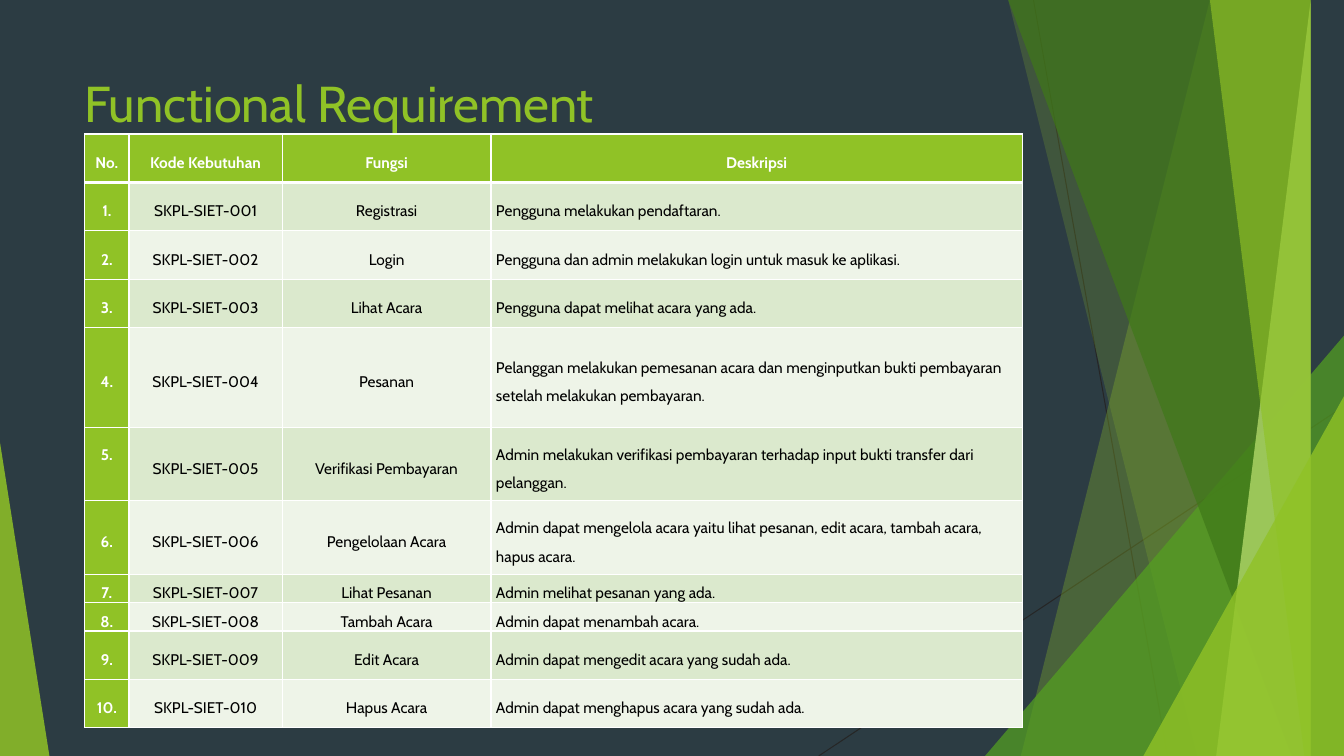
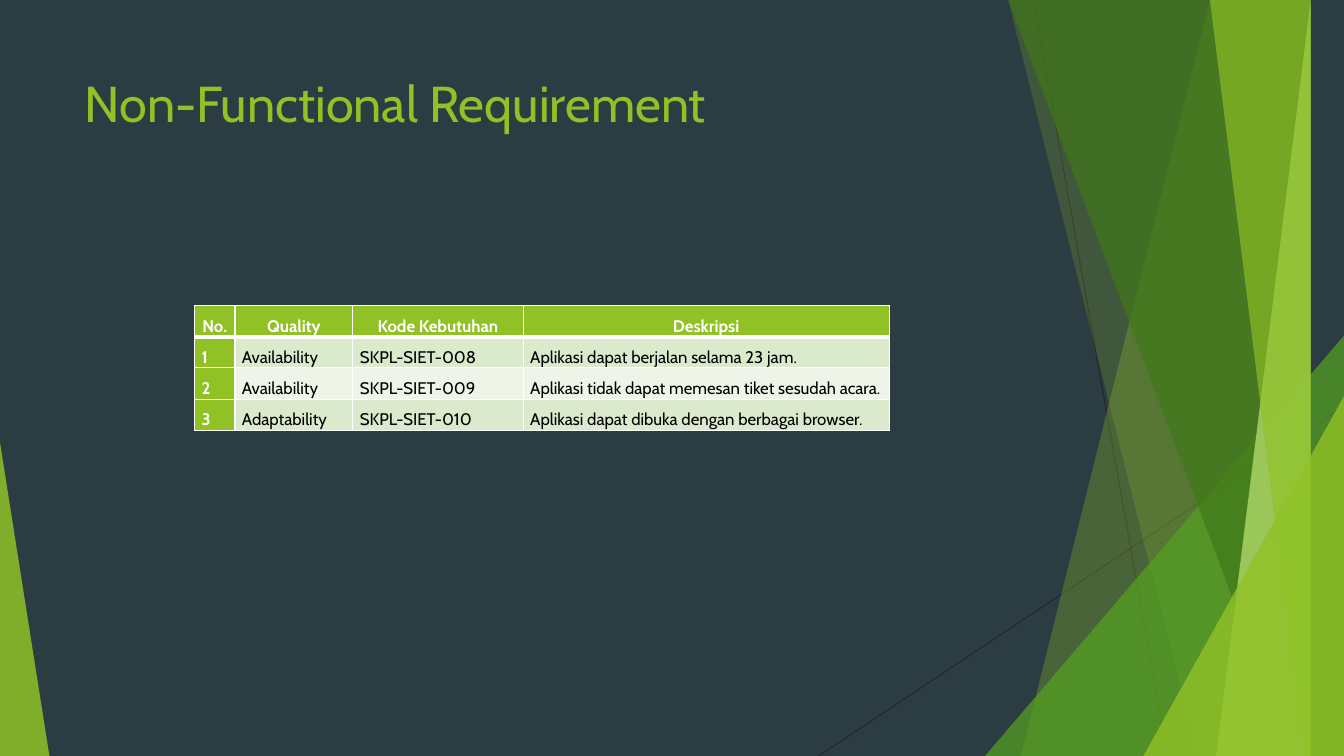
from dataclasses import dataclass

from lxml.etree import SubElement
from pptx import Presentation
from pptx.dml.color import RGBColor
from pptx.enum.shapes import MSO_CONNECTOR as Connector, MSO_SHAPE as Shape
from pptx.enum.text import MSO_ANCHOR as Anchor, PP_ALIGN as Align
from pptx.oxml import parse_xml
from pptx.oxml.ns import nsdecls, qn
from pptx.util import Inches, Pt


@dataclass(frozen=True)
class Theme:
    font: str = "Cabin"
    title_size: int = 36
    background: str = "2C3C43"
    lime: str = "90C226"
    green: str = "54A021"
    forest: str = "3F7819"
    pale: str = "C0E474"
    hairline: str = "262626"
    white: str = "FFFFFF"
    black: str = "000000"
    bands: tuple = ("DBE9CD", "EEF4E8")


THEME = Theme()
WIDTH, HEIGHT = 13.33, 7.5
PAGE = (0, 0, WIDTH, HEIGHT)
TITLE_BOX = (0.74, 0.67, 9.4, 1.44)
C, L = Align.CENTER, Align.LEFT

# Hairlines: start and end points
HAIRLINES = [((10.25, 0), (11.58, 7.5)), ((13.33, 4.03), (8.12, 7.5))]

# Facets, back to front. Blade: top and bottom x of its left edge.
# Triangle: left, top, width, and apex side (0 left, 1 right).
FACETS = [
    ("blade", (12.28, 10.04), THEME.lime, 30),
    ("blade", (10.5, 11.83), THEME.lime, 20),
    ("triangle", (9.77, 3.33, 3.56, 1), THEME.green, 72),
    ("blade", (10.21, 12.91), THEME.forest, 70),
    ("blade", (13.03, 11.92), THEME.pale, 70),
    ("blade", (11.96, 13.18), THEME.lime, 65),
    ("triangle", (11.34, 3.93, 1.99, 1), THEME.lime, 80),
    ("triangle", (0, 4.39, 0.49, 0), THEME.lime, 85),
]

FUNCTIONAL = [
    ("Registrasi", "Pengguna melakukan pendaftaran."),
    ("Login", "Pengguna dan admin melakukan login untuk masuk ke aplikasi."),
    ("Lihat Acara", "Pengguna dapat melihat acara yang ada."),
    ("Pesanan", "Pelanggan melakukan pemesanan acara dan menginputkan bukti "
                "pembayaran setelah melakukan pembayaran."),
    ("Verifikasi Pembayaran", "Admin melakukan verifikasi pembayaran terhadap "
                              "input bukti transfer dari pelanggan."),
    ("Pengelolaan Acara", "Admin dapat mengelola acara yaitu lihat pesanan, "
                          "edit acara, tambah acara, hapus acara."),
    ("Lihat Pesanan", "Admin melihat pesanan yang ada."),
    ("Tambah Acara", "Admin dapat menambah acara."),
    ("Edit Acara", "Admin dapat mengedit acara yang sudah ada."),
    ("Hapus Acara", "Admin dapat menghapus acara yang sudah ada."),
]
QUALITIES = [
    ("Availability", "Aplikasi dapat berjalan selama 23 jam."),
    ("Availability", "Aplikasi tidak dapat memesan tiket sesudah acara."),
    ("Adaptability", "Aplikasi dapat dibuka dengan berbagai browser."),
]

REQUIREMENT_SLIDES = [
    dict(
        title="Functional Requirement",
        rows=[("No.", "Kode Kebutuhan", "Fungsi", "Deskripsi")]
        + [(f"{n}.", f"SKPL-SIET-{n:03}", *texts)
           for n, texts in enumerate(FUNCTIONAL, 1)],
        origin=(0.84, 1.33),
        widths=[0.44, 1.52, 2.07, 5.27],
        heights=[0.48] * 4 + [0.99, 0.73, 0.73, 0.28, 0.28, 0.48, 0.48],
        aligns=[C, C, C, L], size=11, inset=0.05,
        lifts={(5, 0): 0.28},
    ),
    dict(
        title="Non-Functional Requirement",
        rows=[("No.", "Quality", "Kode Kebutuhan", "Deskripsi")]
        + [(str(n), quality, f"SKPL-SIET-{n + 7:03}", text)
           for n, (quality, text) in enumerate(QUALITIES, 1)],
        origin=(1.93, 3.03),
        widths=[0.4, 1.17, 1.69, 3.63],
        heights=[0.31] * 4,
        aligns=[L] * 4, size=12, inset=0.07, lifts={},
    ),
]


def rgb(colour):
    return RGBColor.from_string(colour)


def set_all(target, values):
    for name, value in values.items():
        setattr(target, name, value)


def style_font(font, size, colour, bold=False):
    set_all(font, {"name": THEME.font, "size": Pt(size), "bold": bold})
    font.color.rgb = rgb(colour)


def paint(facet, colour, opacity):
    facet.shadow.inherit = False
    facet.line.fill.background()
    facet.fill.solid()
    facet.fill.fore_color.rgb = rgb(colour)
    tint = facet.fill._xPr.find(qn("a:solidFill"))[0]
    SubElement(tint, qn("a:alpha"), val=str(opacity * 1000))


def add_blade(shapes, box, edge):
    """Outline from a slanted left edge to the right side of the box."""
    left, top, width, height = box
    right, bottom = left + width, top + height
    upper, lower = (left + x for x in edge)
    outline = shapes.build_freeform(upper, top, scale=Inches(1))
    outline.add_line_segments([(right, top), (right, bottom), (lower, bottom)])
    return outline.convert_to_shape()


def add_triangle(shapes, box, geometry):
    """Right-angled triangle standing on the bottom of the box."""
    x, y, width, apex = geometry
    triangle = shapes.add_shape(
        Shape.ISOSCELES_TRIANGLE, Inches(box[0] + x), Inches(box[1] + y),
        Inches(width), Inches(box[3] - y))
    triangle.adjustments[0] = apex
    return triangle


def add_backdrop(slide, box):
    # Hairlines
    for start, end in HAIRLINES:
        points = [Inches(box[i] + point[i]) for point in (start, end) for i in (0, 1)]
        hairline = slide.shapes.add_connector(Connector.STRAIGHT, *points)
        hairline.line.width = Pt(0.75)
        hairline.line.color.rgb = rgb(THEME.hairline)
        SubElement(hairline._element.spPr, qn("a:effectLst"))
    # Translucent facets
    makers = {"blade": add_blade, "triangle": add_triangle}
    for kind, geometry, colour, opacity in FACETS:
        paint(makers[kind](slide.shapes, box, geometry), colour, opacity)


def add_title(slide, box, text):
    frame = slide.shapes.add_textbox(*map(Inches, box)).text_frame
    set_all(frame, {"word_wrap": True, "vertical_anchor": Anchor.TOP})
    heading = frame.paragraphs[0].add_run()
    heading.text = text
    style_font(heading.font, THEME.title_size, THEME.lime)


def add_borders(cell, widths):
    """Cell borders, in points, in the order left, right, top, bottom."""
    properties = cell._tc.get_or_add_tcPr()
    for index, (side, width) in enumerate(zip("LRTB", widths)):
        properties.insert(index, parse_xml(
            f'<a:ln{side} {nsdecls("a")} w="{Pt(width)}"><a:solidFill>'
            f'<a:srgbClr val="{THEME.white}"/></a:solidFill></a:ln{side}>'))


def add_requirements(slide, origin, rows, widths, heights, aligns, size, inset, lifts):
    box = (*origin, sum(widths), sum(heights))
    table = slide.shapes.add_table(
        len(rows), len(widths), *map(Inches, box)).table
    for column, width in zip(table.columns, widths):
        column.width = Inches(width)
    for r, (texts, height) in enumerate(zip(rows, heights)):
        table.rows[r].height = Inches(height)
        for c, text in enumerate(texts):
            cell = table.cell(r, c)
            accent = r == 0 or c == 0
            set_all(cell, {
                "text": text, "vertical_anchor": Anchor.MIDDLE,
                "margin_left": Inches(inset), "margin_right": Inches(inset),
                "margin_top": 0, "margin_bottom": Inches(lifts.get((r, c), 0)),
            })
            # Fill and borders: a heavy rule below the header
            cell.fill.solid()
            cell.fill.fore_color.rgb = rgb(
                THEME.lime if accent else THEME.bands[(r - 1) % 2])
            add_borders(cell, (1, 1, 3 if r == 1 else 1, 3 if r == 0 else 1))
            # Text
            paragraph = cell.text_frame.paragraphs[0]
            set_all(paragraph, {"alignment": C if r == 0 else aligns[c],
                                "line_spacing": 1.5})
            style_font(paragraph.runs[0].font, size,
                       THEME.white if accent else THEME.black, accent)


def add_requirement_slide(prs, title, **requirements):
    slide = prs.slides.add_slide(prs.slide_layouts[6])
    add_backdrop(slide, PAGE)
    add_title(slide, TITLE_BOX, title)
    add_requirements(slide, **requirements)


def main():
    prs = Presentation()
    set_all(prs, {"slide_width": Inches(WIDTH), "slide_height": Inches(HEIGHT)})
    backdrop = prs.slide_master.background.fill
    backdrop.solid()
    backdrop.fore_color.rgb = rgb(THEME.background)
    for content in REQUIREMENT_SLIDES:
        add_requirement_slide(prs, **content)
    prs.save("out.pptx")


if __name__ == "__main__":
    main()
